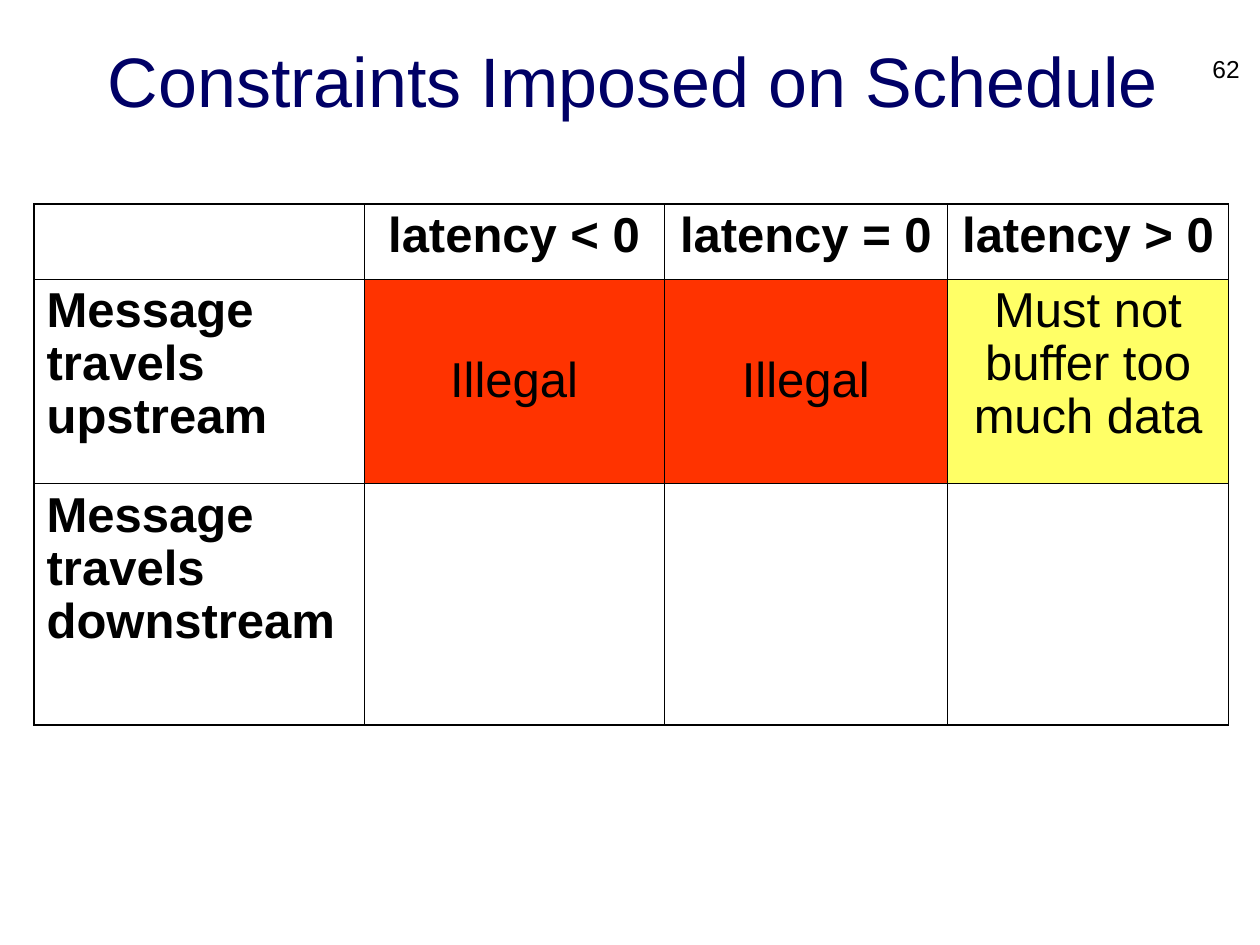
"""Build a slide with a table of schedule constraints by message direction and latency."""
from lxml import etree
from pptx import Presentation
from pptx.dml.color import RGBColor
from pptx.enum.text import MSO_ANCHOR, PP_ALIGN
from pptx.oxml.ns import qn
from pptx.util import Pt

LEFT, CENTER, RIGHT = PP_ALIGN.LEFT, PP_ALIGN.CENTER, PP_ALIGN.RIGHT
TOP, MIDDLE = MSO_ANCHOR.TOP, MSO_ANCHOR.MIDDLE
BLACK = RGBColor(0x00, 0x00, 0x00)
WHITE = RGBColor(0xFF, 0xFF, 0xFF)
NAVY = RGBColor(0x00, 0x00, 0x66)
RED = RGBColor(0xFF, 0x33, 0x00)
YELLOW = RGBColor(0xFF, 0xFF, 0x66)
INNER, OUTER = 0.45, 1.08


def write(frame, text, size, color, align, bold=False):
    frame.word_wrap = True
    frame.text = text
    paragraph = frame.paragraphs[0]
    paragraph.alignment = align
    font = paragraph.runs[0].font
    formats = {"name": "Arial", "size": Pt(size), "bold": bold}
    for attribute, value in formats.items():
        setattr(font, attribute, value)
    font.color.rgb = color
    return paragraph


def add_border(cell, side, width):
    properties = cell._tc.get_or_add_tcPr()
    line = etree.SubElement(properties, qn(f"a:ln{side}"), w=str(Pt(width)))
    fill = etree.SubElement(line, qn("a:solidFill"))
    etree.SubElement(fill, qn("a:srgbClr"), val=str(BLACK))


presentation = Presentation()
presentation.slide_width, presentation.slide_height = Pt(720), Pt(540)
slide = presentation.slides.add_slide(presentation.slide_layouts[5])

title = slide.shapes.title
title_place = {"left": 21, "top": 13.5, "width": 681, "height": 63.5}
for attribute, value in title_place.items():
    setattr(title, attribute, Pt(value))
title.text_frame.vertical_anchor = MIDDLE
write(title.text_frame, "Constraints Imposed on Schedule", 40, NAVY, CENTER)

constraints = [
    ["", "latency < 0", "latency = 0", "latency > 0"],
    ["Message travels upstream", "Illegal", "Illegal", "Must not buffer too much data"],
    ["Message travels downstream", "", "", ""],
]
fills = {"Illegal": RED, "Must not buffer too much data": YELLOW}
column_widths = [188.5, 171.5, 162, 160.5]
row_heights = [43, 117, 138]
last_row, last_column = len(row_heights) - 1, len(column_widths) - 1

table = slide.shapes.add_table(
    len(row_heights), len(column_widths), Pt(19.5), Pt(116.5),
    Pt(sum(column_widths)), Pt(sum(row_heights))).table
table.first_row = table.horz_banding = False
for column, width in zip(table.columns, column_widths):
    column.width = Pt(width)
for row, height in zip(table.rows, row_heights):
    row.height = Pt(height)

for r, texts in enumerate(constraints):
    for c, text in enumerate(texts):
        cell = table.cell(r, c)
        outer_sides = {"L": c == 0, "R": c == last_column, "T": r == 0, "B": r == last_row}
        for side, is_outer in outer_sides.items():
            add_border(cell, side, OUTER if is_outer else INNER)
        cell.fill.solid()
        cell.fill.fore_color.rgb = fills.get(text, WHITE)
        cell.vertical_anchor = MIDDLE if text == "Illegal" else TOP
        if text:
            paragraph = write(cell.text_frame, text, 28, BLACK,
                              LEFT if c == 0 else CENTER, r == 0 or c == 0)
            paragraph.line_spacing = 0.97

page_number = slide.shapes.add_textbox(Pt(681), Pt(27.5), Pt(34.5), Pt(21.5))
write(page_number.text_frame, "62", 14, BLACK, RIGHT)

presentation.save("out.pptx")
